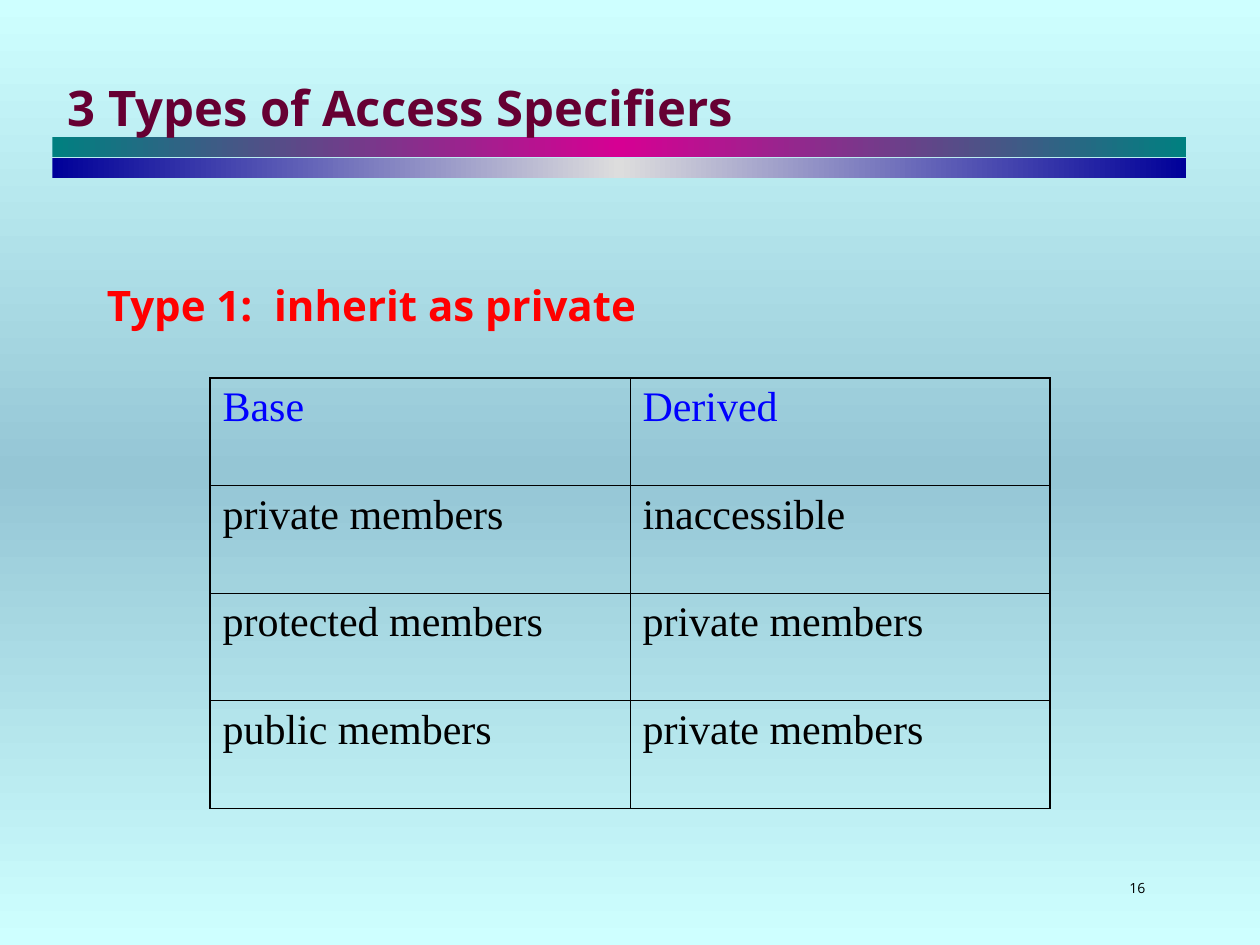
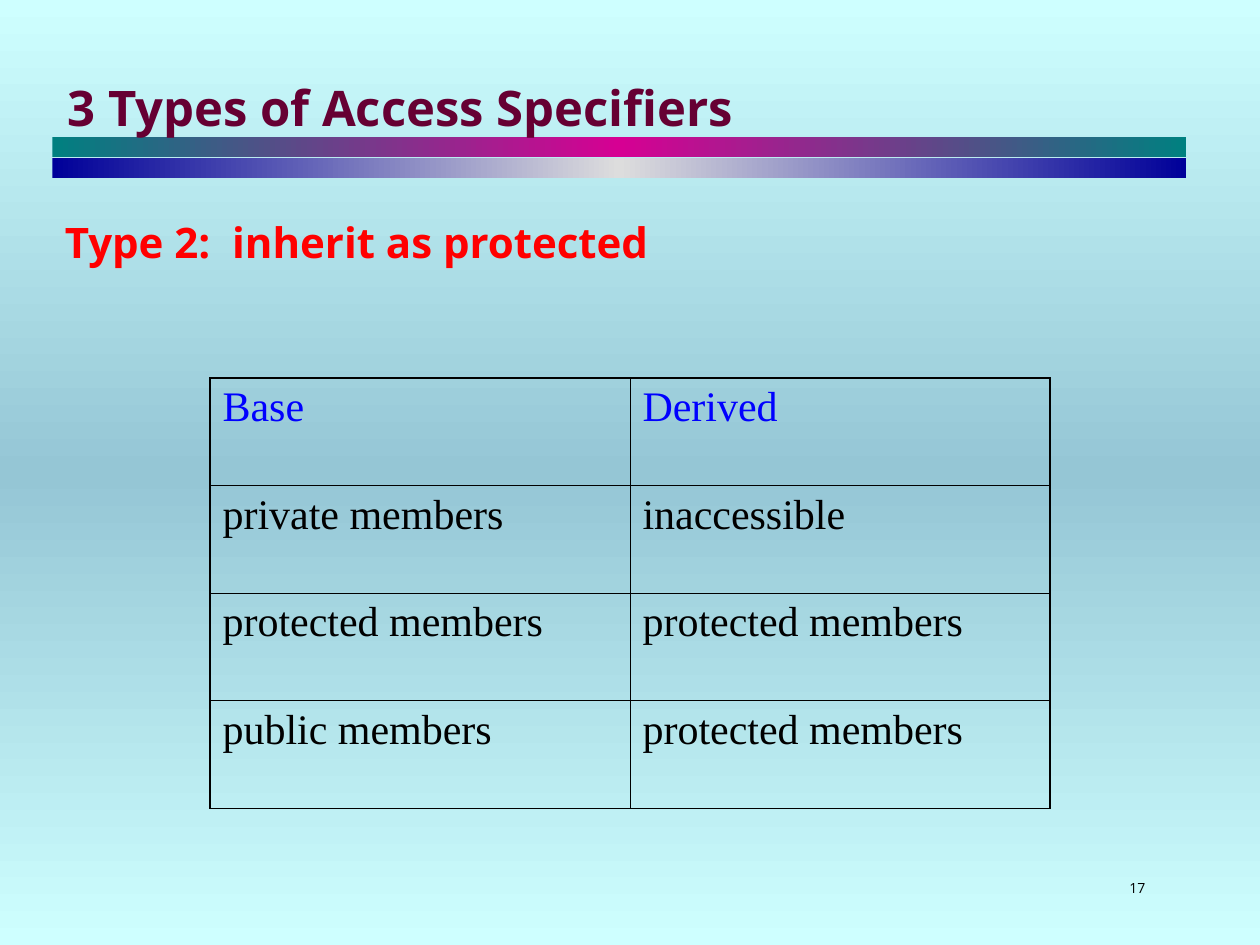
from copy import deepcopy

from lxml import etree
from pptx import Presentation
from pptx.dml.color import RGBColor
from pptx.enum.shapes import MSO_SHAPE
from pptx.enum.text import MSO_ANCHOR
from pptx.oxml.ns import qn
from pptx.util import Emu, Pt

RECTANGLE = MSO_SHAPE.RECTANGLE
TOP, MIDDLE = MSO_ANCHOR.TOP, MSO_ANCHOR.MIDDLE

EMU_PER_PX = 9525  # 96 px to the inch
SANS, SERIF = "Open Sans", "Times New Roman"
COLORS = {
    "sky": "CEFFFF",
    "haze": "95C6D5",
    "teal": "008080",
    "magenta": "D60093",
    "navy": "000099",
    "silver": "DDDDDD",
    "title": "660033",
    "heading": "FF0000",
    "header": "0000FF",
    "ink": "000000",
}
BANDS = [("teal", "magenta"), ("navy", "silver")]
BAND_LEFT, BAND_TOP, BAND_WIDTH, BAND_HEIGHT = 40, 104, 864, 16
TABLE_LEFT, TABLE_TOP, COLUMN_WIDTH, ROW_HEIGHT = 160, 288, 320, 82
OUTER_LINE, INNER_LINE = 1.08, 0.45
BASE_MEMBERS = ["private members", "protected members", "public members"]

SLIDES = [
    {
        "number": 16,
        "heading": "Type 1:  inherit as private",
        "heading_area": (72, 208, 848, 432),
        "derived": ["inaccessible", "private members", "private members"],
    },
    {
        "number": 17,
        "heading": "Type 2:  inherit as protected",
        "heading_area": (40, 160, 864, 496),
        "derived": ["inaccessible", "protected members", "protected members"],
    },
]


def px(*lengths):
    return [Emu(length * EMU_PER_PX) for length in lengths]


def rgb(name):
    return RGBColor.from_string(COLORS[name])


def fill_gradient(fill, owner, edge, center, angle=0):
    """Fill with a linear gradient running from edge to center and back."""
    fill.gradient()
    fill.gradient_angle = angle
    stop_list = owner.find(".//" + qn("a:gsLst"))
    stop_list.insert(1, deepcopy(stop_list[0]))
    stops = zip(fill.gradient_stops, (edge, center, edge), (0, 0.5, 1))
    for stop, color, position in stops:
        stop.color.rgb = rgb(color)
        stop.position = position


def write_text(frame, text, size, color="ink", font=SANS, bold=False,
               line_spacing=None):
    para = frame.paragraphs[0]
    para.line_spacing = line_spacing
    span = para.add_run()
    span.text = text
    span.font.name = font
    span.font.size = Pt(size)
    span.font.bold = bold
    span.font.color.rgb = rgb(color)


def add_text(page, area, text, anchor=TOP, **text_format):
    frame = page.shapes.add_textbox(*px(*area)).text_frame
    frame.word_wrap = True
    frame.vertical_anchor = anchor
    write_text(frame, text, **text_format)


def add_band(page, index, edge, center):
    top = BAND_TOP + index * BAND_HEIGHT
    band = page.shapes.add_shape(
        RECTANGLE, *px(BAND_LEFT, top, BAND_WIDTH, BAND_HEIGHT))
    band.shadow.inherit = False
    band.line.fill.background()
    fill_gradient(band.fill, band.element, edge, center)


def draw_borders(cell, widths):
    """Draw the left, right, top and bottom lines, with widths in points."""
    properties = cell._tc.get_or_add_tcPr()
    for side, width in zip("LRTB", widths):
        line = etree.SubElement(properties, qn(f"a:ln{side}"), w=str(Pt(width)))
        fill = etree.SubElement(line, qn("a:solidFill"))
        etree.SubElement(fill, qn("a:srgbClr"), val=COLORS["ink"])


def add_members_table(page, derived):
    rows = [("Base", "Derived"), *zip(BASE_MEMBERS, derived)]
    row_count, column_count = len(rows), len(rows[0])
    area = px(TABLE_LEFT, TABLE_TOP,
              column_count * COLUMN_WIDTH, row_count * ROW_HEIGHT)
    table = page.shapes.add_table(row_count, column_count, *area).table
    table.first_row = table.horz_banding = False
    for row, texts in enumerate(rows):
        for column, text in enumerate(texts):
            cell = table.cell(row, column)
            on_edge = (column == 0, column == column_count - 1,
                       row == 0, row == row_count - 1)
            draw_borders(cell, [OUTER_LINE if edge else INNER_LINE
                                for edge in on_edge])
            cell.fill.background()
            write_text(cell.text_frame, text, size=24, font=SERIF,
                       color="header" if row == 0 else "ink")


def add_page(deck, number):
    """Add a slide with the shared background, number, bands and title."""
    page = deck.slides.add_slide(deck.slide_layouts[6])
    fill_gradient(page.background.fill, page.element, "sky", "haze", angle=270)
    add_text(page, (851, 665, 73, 24), str(number), size=8)
    for index, (edge, center) in enumerate(BANDS):
        add_band(page, index, edge, center)
    add_text(page, (42, 24, 870, 120), "3 Types of Access Specifiers",
             anchor=MIDDLE, size=28, color="title", bold=True,
             line_spacing=0.9)
    return page


def main():
    deck = Presentation()
    deck.slide_width, deck.slide_height = px(960, 720)
    for content in SLIDES:
        page = add_page(deck, content["number"])
        add_text(page, content["heading_area"], content["heading"],
                 size=24, color="heading", bold=True)
        add_members_table(page, content["derived"])
    deck.save("out.pptx")


if __name__ == "__main__":
    main()
